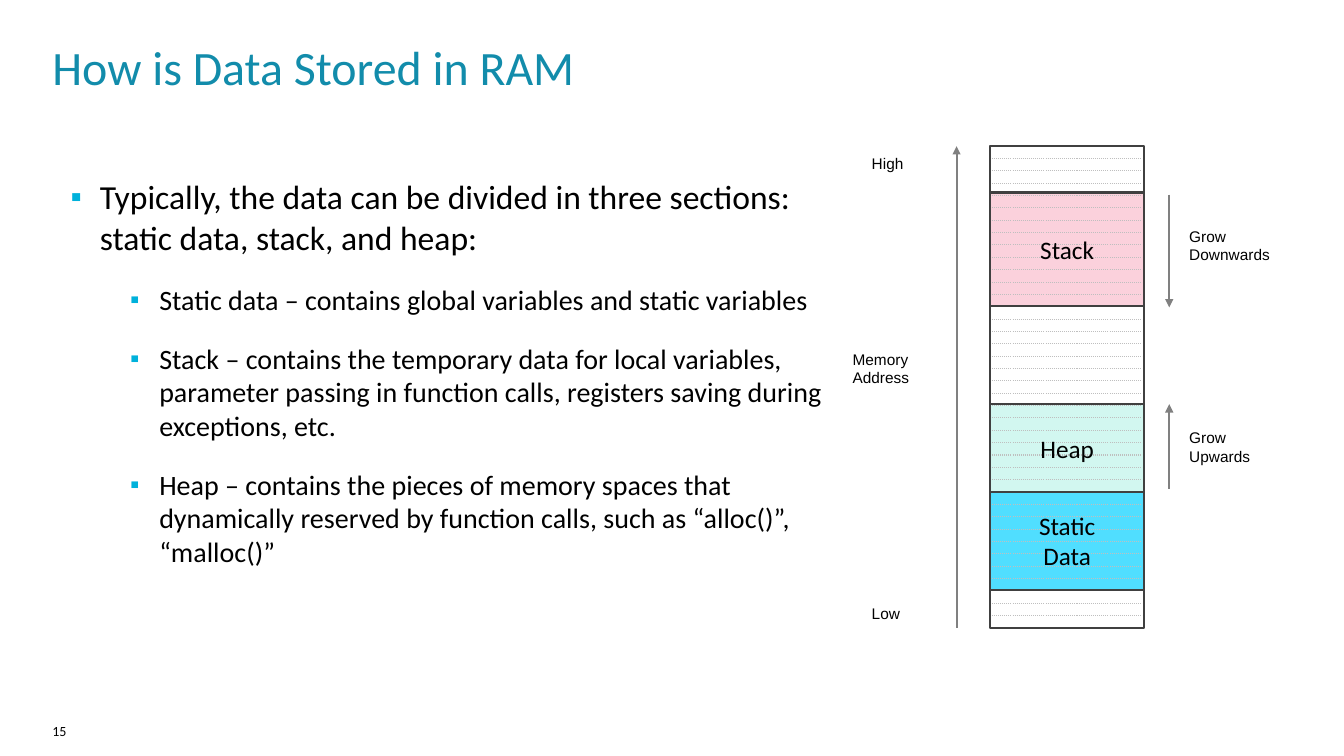
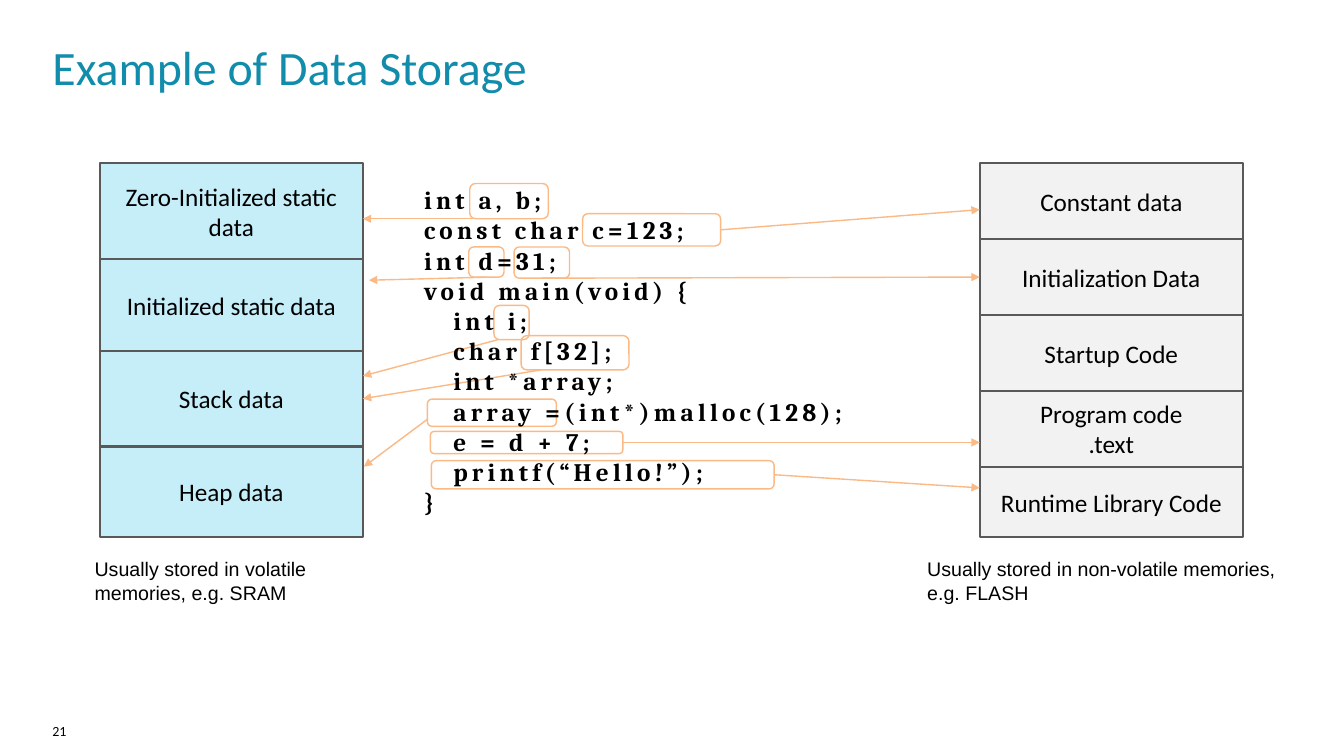
import lxml.etree
import pptx
import pptx.dml.color
import pptx.enum.dml
import pptx.enum.shapes
import pptx.enum.text
import pptx.oxml.ns
import pptx.util

RGBColor = pptx.dml.color.RGBColor
BLACK = RGBColor(0x00, 0x00, 0x00)
WHITE = RGBColor(0xFF, 0xFF, 0xFF)
TITLE_BLUE = RGBColor(0x12, 0x8C, 0xAB)
BULLET_BLUE = RGBColor(0x00, 0xB1, 0xDB)
STACK_PINK = RGBColor(0xFB, 0xD1, 0xDC)
HEAP_MINT = RGBColor(0xD2, 0xF7, 0xF0)
STATIC_CYAN = RGBColor(0x50, 0xDE, 0xFF)
VOLATILE_BLUE = RGBColor(0xC5, 0xEE, 0xF9)
FLASH_GRAY = RGBColor(0xF2, 0xF2, 0xF2)
DARK_GRAY = RGBColor(0x40, 0x40, 0x40)
BLOCK_GRAY = RGBColor(0x59, 0x59, 0x59)
ARROW_GRAY = RGBColor(0x80, 0x80, 0x80)
DOT_GRAY = RGBColor(0xBF, 0xBF, 0xBF)
ORANGE = RGBColor(0xFA, 0xB9, 0x85)

RECTANGLE = pptx.enum.shapes.MSO_SHAPE.RECTANGLE
ROUNDED = pptx.enum.shapes.MSO_SHAPE.ROUNDED_RECTANGLE
RIGHT_SIDE, LEFT_SIDE, BOTTOM_SIDE = 3, 1, 2

presentation = pptx.Presentation()
presentation.slide_width = pptx.util.Emu(12192000)
presentation.slide_height = pptx.util.Emu(6858000)
COLUMN = presentation.slide_width / 40
ROW = presentation.slide_height / 30


def add_box(slide, frame, lines=(), size=18, font="Calibri", color=BLACK, kind=None,
            fill=None, outline=None, weight=1.5, margin=True):
    """Add a text box, or a preset shape with centred text if kind is given.

    The frame is left, top, width, height in grid columns and rows.
    """
    left, top, width, height = frame
    place = [round(left * COLUMN), round(top * ROW), round(width * COLUMN), round(height * ROW)]
    if kind is None:
        shape = slide.shapes.add_textbox(*place)
    else:
        shape = slide.shapes.add_shape(kind, *place)
        shape.shadow.inherit = False
        shape.text_frame.vertical_anchor = pptx.enum.text.MSO_ANCHOR.MIDDLE
        if fill is None:
            shape.fill.background()
        else:
            shape.fill.solid()
            shape.fill.fore_color.rgb = fill
        if outline is None:
            shape.line.fill.background()
        else:
            shape.line.color.rgb = outline
            shape.line.width = pptx.util.Pt(weight)
    text_frame = shape.text_frame
    text_frame.word_wrap = True
    if not margin:
        text_frame.margin_left = text_frame.margin_right = 0
        text_frame.margin_top = text_frame.margin_bottom = 0
    if lines:
        text_frame.text = "\n".join(lines)
        for paragraph in text_frame.paragraphs:
            if kind is not None:
                paragraph.alignment = pptx.enum.text.PP_ALIGN.CENTER
            for run in paragraph.runs:
                run.font.size = pptx.util.Pt(size)
                run.font.name = font
                run.font.color.rgb = color
    return shape


def add_line(slide, start, end, color, weight, arrow=True):
    """Join two (column, row) points by an arrow, or by a dotted line."""
    connector = slide.shapes.add_connector(
        pptx.enum.shapes.MSO_CONNECTOR.STRAIGHT,
        round(start[0] * COLUMN), round(start[1] * ROW),
        round(end[0] * COLUMN), round(end[1] * ROW))
    connector.line.color.rgb = color
    connector.line.width = pptx.util.Pt(weight)
    if arrow:
        outline = connector.line._get_or_add_ln()
        lxml.etree.SubElement(outline, pptx.oxml.ns.qn("a:tailEnd"), type="triangle")
    else:
        connector.line.dash_style = pptx.enum.dml.MSO_LINE.ROUND_DOT
    lxml.etree.SubElement(connector._element.spPr, pptx.oxml.ns.qn("a:effectLst"))
    return connector


slides = []
for title, number in (("How is Data Stored in RAM", "15"), ("Example of Data Storage", "21")):
    slide = presentation.slides.add_slide(presentation.slide_layouts[6])
    add_box(slide, (1.56, 1.48, 36.6, 2.52), [title], 34.2, color=TITLE_BLUE, margin=False)
    add_box(slide, (1.56, 28.68, 4.26, 1.04), [number], 10, margin=False)
    slides.append(slide)
ram_slide, example_slide = slides

# Slide 1: bullets
bullets = [
    "Typically, the data can be divided in three sections: static data, stack, and heap:",
    "Static data – contains global variables and static variables",
    "Stack – contains the temporary data for local variables, parameter passing in function "
    "calls, registers saving during exceptions, etc.",
    "Heap – contains the pieces of memory spaces that dynamically reserved by function calls, "
    "such as “alloc()”, “malloc()”",
]
body = add_box(ram_slide, (2.1, 7, 22.77, 17.44), bullets, 20, margin=False)
for index, paragraph in enumerate(body.text_frame.paragraphs):
    if index == 0:
        paragraph.runs[0].font.size = pptx.util.Pt(24)
    else:
        paragraph.level = 1
        paragraph.space_before = pptx.util.Pt(18)
    properties = paragraph._p.get_or_add_pPr()
    properties.set("marL", str(pptx.util.Inches(0.88 if index else 0.29)))
    properties.set("indent", str(pptx.util.Inches(-0.29)))
    bullet_color = lxml.etree.SubElement(properties, pptx.oxml.ns.qn("a:buClr"))
    lxml.etree.SubElement(bullet_color, pptx.oxml.ns.qn("a:srgbClr"), val=str(BULLET_BLUE))
    lxml.etree.SubElement(properties, pptx.oxml.ns.qn("a:buSzPct"), val="95000")
    lxml.etree.SubElement(properties, pptx.oxml.ns.qn("a:buFont"), typeface="Arial")
    lxml.etree.SubElement(properties, pptx.oxml.ns.qn("a:buChar"), char="▪")

# Slide 1: memory map, with dotted words between the fills and the outlines
MEMORY_LEFT, MEMORY_WIDTH = 29.46, 4.6
MEMORY_TOP, MEMORY_BOTTOM = 5.8, 24.92
WORD_COUNT = 39
sections = [
    (5.8, WHITE, []),
    (7.64, STACK_PINK, ["Stack"]),
    (12.16, WHITE, []),
    (16.04, HEAP_MINT, ["Heap"]),
    (19.52, STATIC_CYAN, ["Static", "Data"]),
    (23.4, WHITE, []),
]
section_bottoms = [section[0] for section in sections[1:]] + [MEMORY_BOTTOM]
section_frames = [(MEMORY_LEFT, section[0], MEMORY_WIDTH, bottom - section[0])
                  for section, bottom in zip(sections, section_bottoms)]
for frame, (top, fill, lines) in zip(section_frames, sections):
    add_box(ram_slide, frame, kind=RECTANGLE, fill=fill)
for word in range(1, WORD_COUNT + 1):
    row = MEMORY_TOP + word * (MEMORY_BOTTOM - MEMORY_TOP) / WORD_COUNT
    add_line(ram_slide, (MEMORY_LEFT, row), (MEMORY_LEFT + MEMORY_WIDTH, row),
             DOT_GRAY, 0.75, arrow=False)
for frame, (top, fill, lines) in zip(section_frames, sections):
    add_box(ram_slide, frame, lines, kind=RECTANGLE, outline=DARK_GRAY)

for column, start_row, end_row in (
        (28.47, MEMORY_BOTTOM, MEMORY_TOP), (34.8, 7.72, 12.2), (34.8, 19.4, 16.04)):
    add_line(ram_slide, (column, start_row), (column, end_row), ARROW_GRAY, 1.5)
for left, top, width, lines in (
        (25.65, 5.92, 2.7, ["High"]),
        (25.08, 13.68, 2.7, ["Memory", "Address"]),
        (25.65, 23.76, 2.7, ["Low"]),
        (35.1, 8.8, 3.3, ["Grow", "Downwards"]),
        (35.1, 16.8, 3.3, ["Grow", "Upwards"])):
    add_box(ram_slide, (left, top, width, 0.4 + 0.74 * len(lines)), lines, 11, "Arial")

# Slide 2: the two memories
BLOCKS_TOP, BLOCK_WIDTH = 6.48, 7.83
memories = [
    (2.97, VOLATILE_BLUE, [
        (3.8, ["Zero-Initialized static data"]),
        (3.64, ["Initialized static data"]),
        (3.8, ["Stack data"]),
        (3.6, ["Heap data"])]),
    (29.16, FLASH_GRAY, [
        (3.01, ["Constant data"]),
        (3.01, ["Initialization Data"]),
        (3.01, ["Startup Code"]),
        (3.01, ["Program code", ".text"]),
        (2.8, ["Runtime Library Code"])]),
]
blocks = {}
for left, fill, memory_blocks in memories:
    top = BLOCKS_TOP
    for height, lines in memory_blocks:
        blocks[lines[0]] = add_box(example_slide, (left, top, BLOCK_WIDTH, height), lines,
                                   kind=RECTANGLE, fill=fill, outline=BLOCK_GRAY)
        top += height
for left, width, caption in (
        (2.52, 9.69, "Usually stored in volatile memories, e.g. SRAM"),
        (27.3, 11.1, "Usually stored in non-volatile memories, e.g. FLASH")):
    add_box(example_slide, (left, 21.92, width, 2.28), [caption], 14, "Arial")

# Slide 2: outlined code parts: frame, arrow start and end, joined start side, joined end
code_parts = [
    ((13.98, 7.28, 2.34, 1.4), (15.15, 8.68), (10.8, 8.68), BOTTOM_SIDE, None),
    ((17.34, 8.48, 4.11, 1.28), (21.45, 9.12), (29.16, 8.32), RIGHT_SIDE, None),
    ((13.95, 9.8, 1.05, 1.2), (14.48, 11), (10.98, 11.12), BOTTOM_SIDE, None),
    ((15.3, 9.8, 1.65, 1.24), (16.13, 11.04), (29.16, 10.96), BOTTOM_SIDE,
     ("Initialization Data", LEFT_SIDE)),
    ((14.7, 12.12, 1.05, 1.36), (14.82, 13.48), (10.8, 14.92), None, None),
    ((15.51, 13.32, 3.21, 1.36), (16.11, 14.68), (10.8, 15.8), None,
     ("Stack data", RIGHT_SIDE)),
    ((12.72, 15.84, 3.84, 1.08), (12.72, 16.64), (10.83, 18.52), None, None),
    ((12.81, 17.12, 5.73, 0.88), (18.54, 17.56), (29.16, 17.56), RIGHT_SIDE, None),
    ((12.84, 18.28, 10.2, 1.12), (23.04, 18.84), (29.16, 19.36), RIGHT_SIDE, None),
]
for frame, start, end, start_side, joined_end in code_parts:
    part = add_box(example_slide, frame, kind=ROUNDED, outline=ORANGE, weight=1)
    arrow = add_line(example_slide, start, end, ORANGE, 1)
    if start_side is not None:
        arrow.begin_connect(part, start_side)
    if joined_end is not None:
        block_name, end_side = joined_end
        arrow.end_connect(blocks[block_name], end_side)

# Slide 2: code, with the body of main indented
code_lines = [
    "int a, b;",
    "const char c=123;",
    "int d=31;",
    "void main(void) {",
    "int i;",
    "char f[32];",
    "int *array;",
    "array =(int*)malloc(128);",
    "e = d + 7;",
    "printf(“Hello!”);",
    "}",
]
code = add_box(example_slide, (12.33, 7.12, 14.4, 13.72), code_lines, 18, "Cambria")
for index, paragraph in enumerate(code.text_frame.paragraphs):
    if 4 <= index <= 9:
        paragraph._p.get_or_add_pPr().set("marL", str(pptx.util.Inches(0.29)))
    for run in paragraph.runs:
        run.font.bold = True
        run.font._element.set("spc", "300")

presentation.save("out.pptx")
